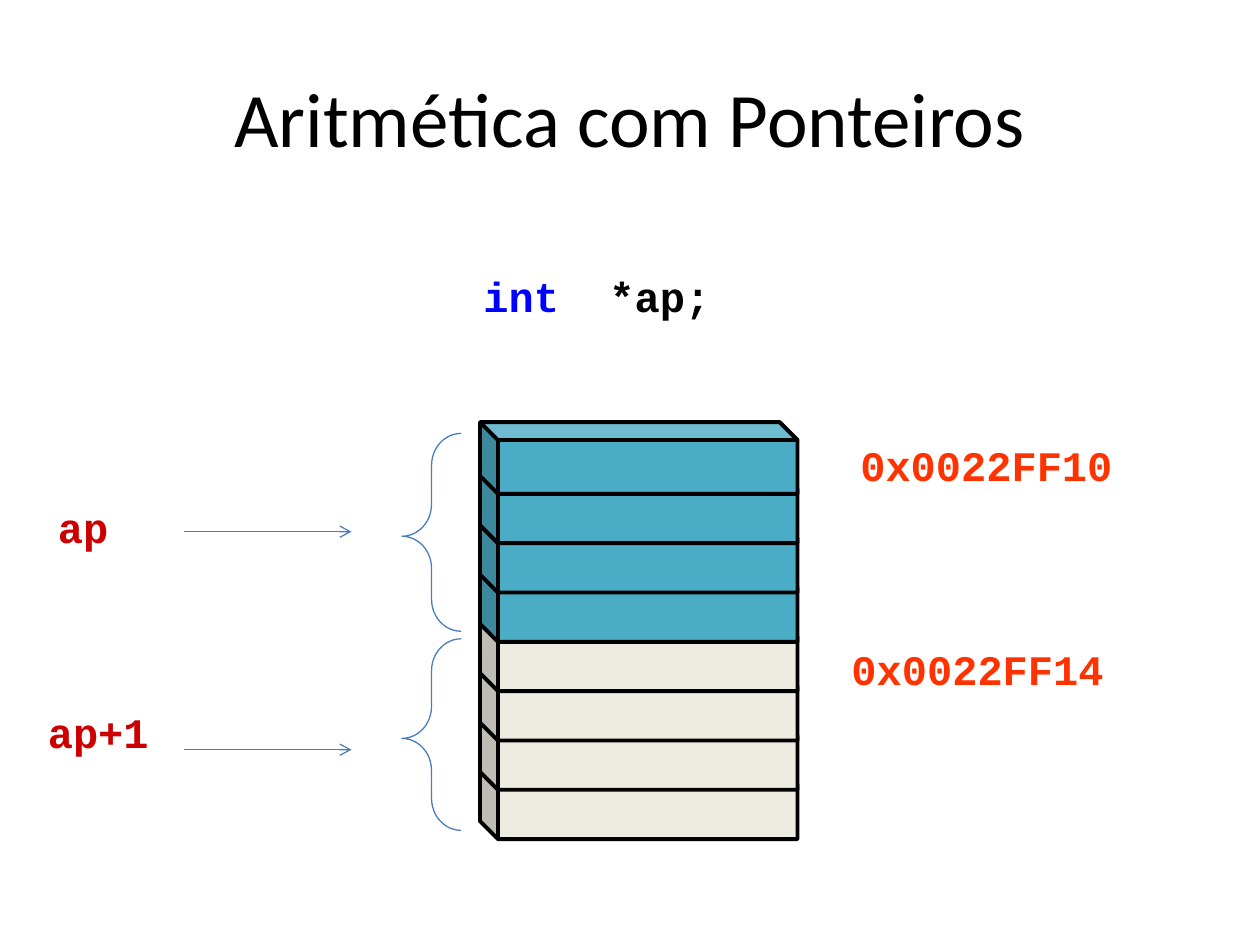
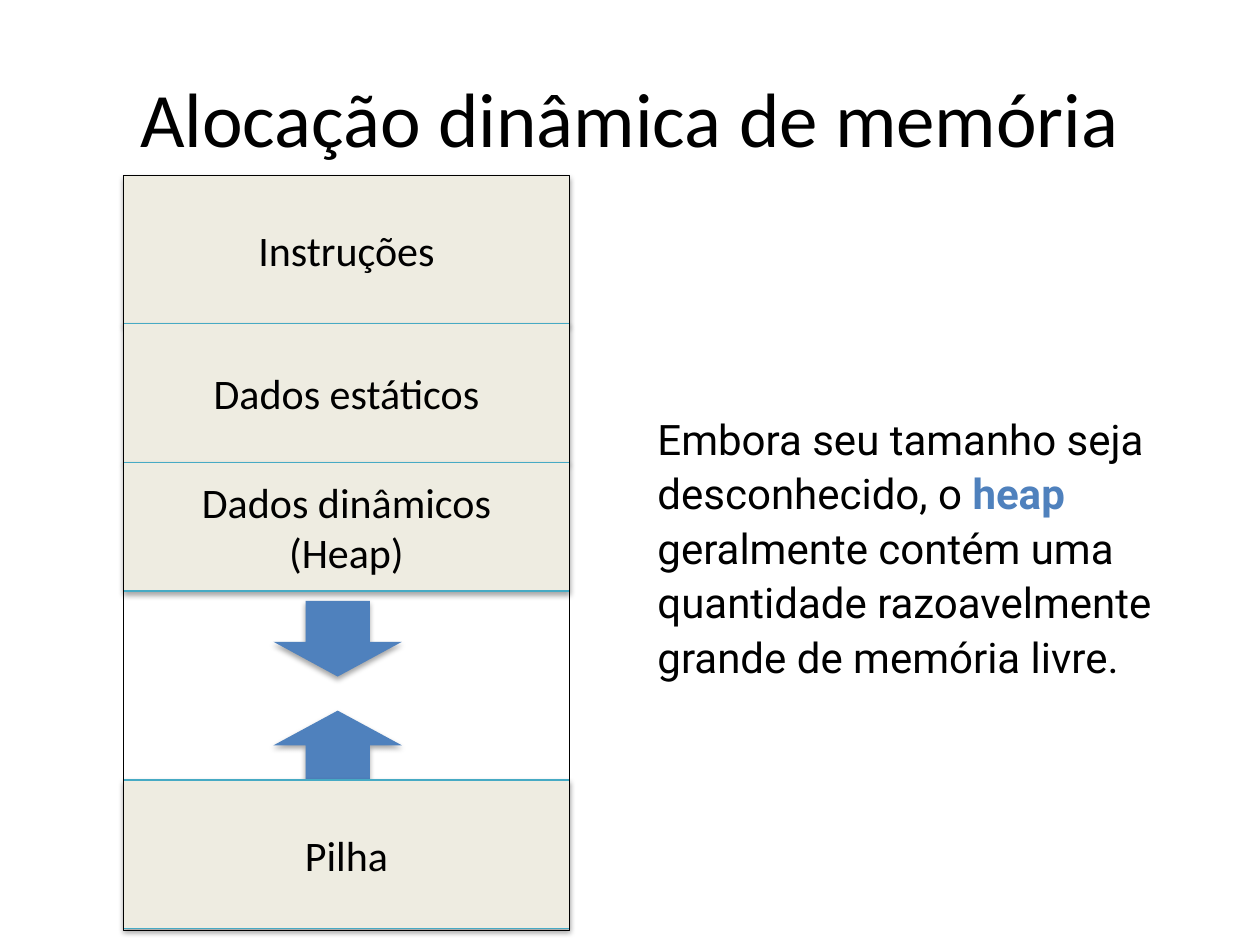
from lxml import etree
from pptx import Presentation
from pptx.dml.color import RGBColor
from pptx.enum.shapes import MSO_CONNECTOR as Conn, MSO_SHAPE as Kind
from pptx.enum.text import MSO_ANCHOR as Anchor, PP_ALIGN as Align
from pptx.oxml import parse_xml
from pptx.oxml.ns import nsdecls, qn
from pptx.util import Inches, Pt

BLACK, RED, ORANGE = "000000", "CC0000", "FF3300"
CREAM, TEAL, BLUE = "EEECE1", "4BACC6", "4F81BD"
EDGE, THIN = "46AAC4", "4A7EBB"
SANS, MONO, PROSE = "Calibri", "Courier New", "Roboto"
SHADE = (
    f'<a:outerShdw {nsdecls("a")} blurRad="40000" dist="23000" dir="5400000" rotWithShape="0">'
    '<a:srgbClr val="000000"><a:alpha val="35000"/></a:srgbClr></a:outerShdw>'
)


def color(code):
    return RGBColor.from_string(code)


class Deck:
    def __init__(self):
        self.prs = Presentation()
        self.prs.slide_width, self.prs.slide_height = Inches(10), Inches(7.5)
        self.slide = None

    def start(self, title):
        """Open a slide and set its centred title."""
        self.slide = self.prs.slides.add_slide(self.prs.slide_layouts[5])
        head = self.slide.shapes.title
        head.left, head.top, head.width, head.height = map(Inches, (0.5, 0.3, 9, 1.25))
        head.text_frame.vertical_anchor = Anchor.MIDDLE
        self.fill_text(head.text_frame, [title], 44, SANS, BLACK, align=Align.CENTER)

    def fill_text(self, frame, lines, size, face, ink, bold=False, align=Align.LEFT, lead=None):
        """Each line is a string or a list of (text, colour, bold) runs."""
        for i, line in enumerate(lines):
            para = frame.paragraphs[0] if i == 0 else frame.add_paragraph()
            para.alignment = align
            if lead:
                para.line_spacing = lead
            para.font.size, para.font.name = Pt(size), face
            runs = [(line, ink, bold)] if isinstance(line, str) else line
            for words, tint, heavy in runs:
                run = para.add_run()
                run.text = words
                run.font.color.rgb, run.font.bold = color(tint), heavy

    def label(self, box, lines, face, ink, wrap=False, **style):
        frame = self.slide.shapes.add_textbox(*map(Inches, box)).text_frame
        frame.word_wrap = wrap
        self.fill_text(frame, lines, 24, face, ink, **style)

    def shape(self, kind, box, fill=None, line=None, width=0.75, adj=(), flip=False, shade=False):
        item = self.slide.shapes.add_shape(kind, *map(Inches, box))
        item.shadow.inherit = False
        for i, value in enumerate(adj):
            item.adjustments[i] = value
        if fill:
            item.fill.solid()
            item.fill.fore_color.rgb = color(fill)
        else:
            item.fill.background()
        if line:
            item.line.color.rgb, item.line.width = color(line), Pt(width)
        else:
            item.line.fill.background()
        props = item._element.spPr
        if flip:
            props.xfrm.set("flipH", "1")
        if shade:
            props.find(qn("a:effectLst")).append(parse_xml(SHADE))
        return item

    def block(self, top, height, lines):
        """A shaded memory region with centred text."""
        item = self.shape(Kind.RECTANGLE, (0.98, top, 3.54, height), CREAM, EDGE, shade=True)
        item.text_frame.vertical_anchor = Anchor.MIDDLE
        self.fill_text(item.text_frame, lines, 24, SANS, BLACK, align=Align.CENTER)

    def arrow(self, left, right, y):
        ends = map(Inches, (left, y, right, y))
        item = self.slide.shapes.add_connector(Conn.STRAIGHT, *ends)
        item.line.color.rgb, item.line.width = color(THIN), Pt(0.75)
        etree.SubElement(item.line._get_or_add_ln(), qn("a:tailEnd"), type="arrow")
        etree.SubElement(item._element.spPr, qn("a:effectLst"))


def pointers(deck):
    deck.start("Aritmética com Ponteiros")

    # Stack of eight bytes, lowest first so each cube covers the one below
    step = 2.74 / 7
    for row in reversed(range(8)):
        fill = TEAL if row < 4 else CREAM
        deck.shape(Kind.CUBE, (3.81, 3.35 + row * step, 2.52, 0.57), fill, BLACK, 2.25,
                   adj=[0.25], flip=True)

    # Declaration
    code = deck.shape(Kind.ROUNDED_RECTANGLE, (3.66, 1.95, 2.18, 0.79), adj=[0.16])
    frame = code.text_frame
    frame.margin_left = frame.margin_right = Inches(0.14)
    frame.vertical_anchor = Anchor.MIDDLE
    deck.fill_text(frame, [[("int\t", "0000FF", True), ("*ap;", BLACK, True)]], 24, MONO, BLACK)

    # Pointer names, arrows, braces and addresses
    groups = [
        ("ap", (0.36, 3.93, 0.6, 0.5), 4.22, 3.44, 1.57, "0x0022FF10", 6.73, 3.41),
        ("ap+1", (0.28, 5.56, 1, 0.5), 5.95, 5.07, 1.52, "0x0022FF14", 6.66, 5.03),
    ]
    for name, box, y, top, tall, addr, left, high in groups:
        deck.label(box, [name], MONO, RED, bold=True, align=Align.CENTER)
        deck.arrow(1.46, 2.79, y)
        deck.shape(Kind.LEFT_BRACE, (3.19, top, 0.47, tall), line=THIN, adj=[0.54, 0.52])
        deck.label((left, high, 2.2, 0.5), [addr], MONO, ORANGE, bold=True, lead=1.08)


def memory(deck):
    deck.start("Alocação dinâmica de memória")

    # Growth arrows, then the regions of memory
    for kind, top in ((Kind.UP_ARROW, 5.64), (Kind.DOWN_ARROW, 4.77)):
        deck.shape(kind, (2.17, top, 1.02, 0.6), BLUE, adj=[0.5, 0.46], shade=True)
    deck.block(1.39, 1.18, ["Instruções"])
    deck.block(2.57, 1.1, ["Dados estáticos"])
    deck.block(3.67, 1.02, ["Dados dinâmicos", "(Heap)"])
    deck.block(6.19, 1.18, ["Pilha"])

    # Remark on the heap
    remark = [
        ("Embora seu tamanho seja desconhecido, o ", BLACK, False),
        ("heap", BLUE, True),
        (" geralmente contém uma quantidade razoavelmente grande de memória livre.", BLACK, False),
    ]
    deck.label((5.12, 3.2, 4.37, 2.66), [remark], PROSE, BLACK, wrap=True, lead=1.08)

    # Frame around the whole memory
    deck.shape(Kind.RECTANGLE, (0.98, 1.39, 3.54, 5.99), line=BLACK, width=0.25)


def main():
    deck = Deck()
    pointers(deck)
    memory(deck)
    deck.prs.save("out.pptx")


if __name__ == "__main__":
    main()
